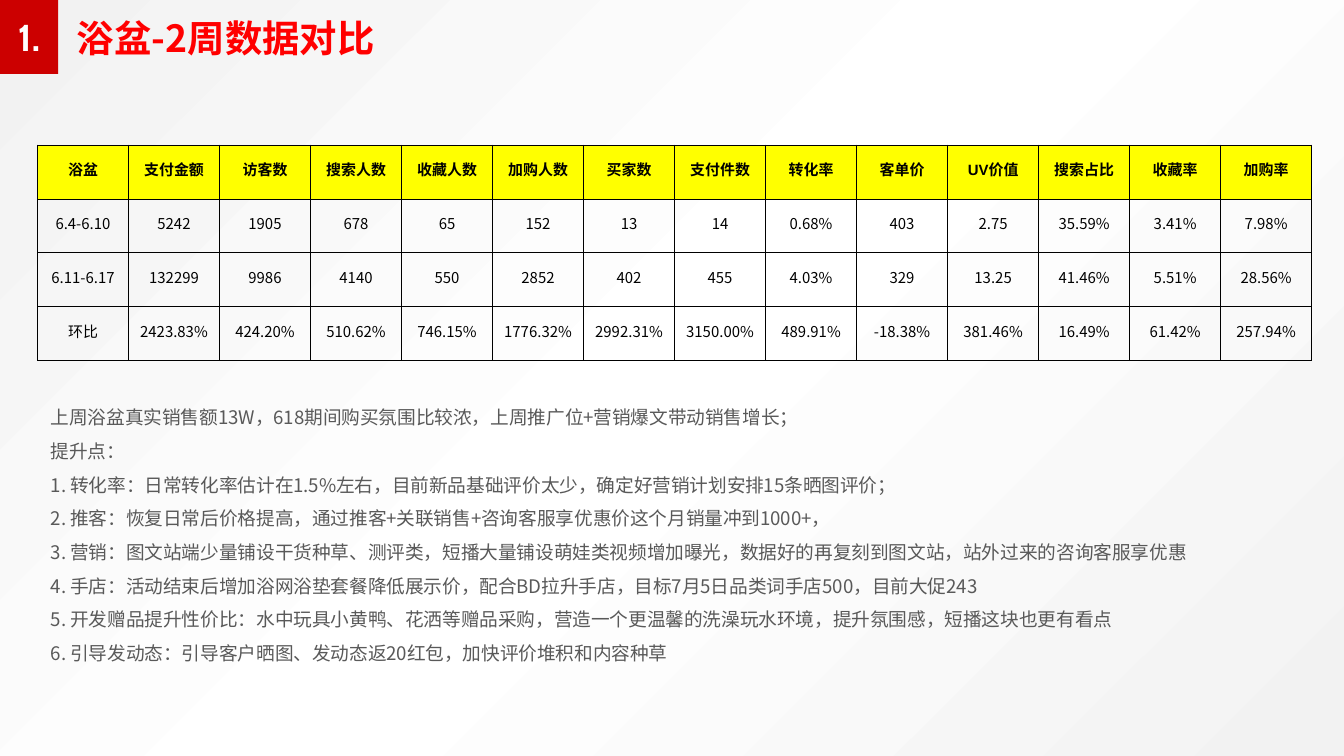
from lxml import etree
from pptx import Presentation
from pptx.dml.color import RGBColor
from pptx.enum.shapes import MSO_SHAPE
from pptx.enum.text import MSO_ANCHOR, MSO_AUTO_SIZE, PP_ALIGN
from pptx.oxml import parse_xml
from pptx.oxml.ns import nsdecls, qn
from pptx.util import Cm, Pt

RECTANGLE = MSO_SHAPE.RECTANGLE
TOP, MIDDLE = MSO_ANCHOR.TOP, MSO_ANCHOR.MIDDLE
LEFT, CENTER = PP_ALIGN.LEFT, PP_ALIGN.CENTER
GROW = MSO_AUTO_SIZE.SHAPE_TO_FIT_TEXT

COLORS = {
    "badge": "CC0000",
    "title": "FF0000",
    "header": "FFFF00",
    "notes": "595959",
    "black": "000000",
    "white": "FFFFFF",
    "edge": "F2F2F2",
}
CJK = "Noto Sans CJK SC"


def add_run(paragraph, text, size, color, font=CJK, bold=False):
    run = paragraph.add_run()
    run.text = text
    run.font.size = Pt(size)
    run.font.bold = bold
    run.font.color.rgb = RGBColor.from_string(COLORS[color])
    run.font.name = font
    east_asian = etree.SubElement(run.font._element, qn("a:ea"))
    east_asian.set("typeface", CJK)


def add_borders(cell):
    properties = cell._tc.get_or_add_tcPr()
    for position, side in enumerate(("lnL", "lnR", "lnT", "lnB")):
        properties.insert(position, parse_xml(
            f'<a:{side} {nsdecls("a")} w="6350"><a:solidFill>'
            f'<a:srgbClr val="{COLORS["black"]}"/></a:solidFill></a:{side}>'))


prs = Presentation()
prs.slide_width, prs.slide_height = Cm(25.4), Cm(14.29)
slide = prs.slides.add_slide(prs.slide_layouts[5])

# Background: soft grey corners around white
backdrop = slide.background.fill
backdrop.gradient()
gradient = slide.background._cSld.find(".//" + qn("a:gradFill"))
for part in list(gradient):
    gradient.remove(part)
stops = etree.SubElement(gradient, qn("a:gsLst"))
for percent, color in ((0, "edge"), (50, "white"), (100, "edge")):
    stop = etree.SubElement(stops, qn("a:gs"), pos=str(percent * 1000))
    etree.SubElement(stop, qn("a:srgbClr"), val=COLORS[color])
circle = etree.SubElement(gradient, qn("a:path"), path="circle")
etree.SubElement(circle, qn("a:fillToRect"), l="100000", t="100000")

# Section number
badge = slide.shapes.add_shape(RECTANGLE, Cm(0), Cm(0), Cm(1.1), Cm(1.4))
badge.shadow.inherit = False
badge.fill.solid()
badge.fill.fore_color.rgb = RGBColor.from_string(COLORS["badge"])
badge.line.fill.background()
badge.text_frame.vertical_anchor = MIDDLE
badge.text_frame.paragraphs[0].alignment = CENTER
add_run(badge.text_frame.paragraphs[0], "1.", 20, "white", "Cabin", True)

# Title
title = slide.shapes.title
title.left, title.top, title.width, title.height = Cm(1.2), Cm(0.15), Cm(6.2), Cm(1.12)
title.text_frame.word_wrap = True
title.text_frame.auto_size = GROW
title.text_frame.vertical_anchor = TOP
title.text_frame.paragraphs[0].alignment = LEFT
add_run(title.text_frame.paragraphs[0], "浴盆-2周数据对比", 20, "title", bold=True)

# Two-week comparison table
weeks = [
    ["浴盆", "支付金额", "访客数", "搜索人数", "收藏人数", "加购人数", "买家数",
     "支付件数", "转化率", "客单价", "UV价值", "搜索占比", "收藏率", "加购率"],
    ["6.4-6.10", "5242", "1905", "678", "65", "152", "13",
     "14", "0.68%", "403", "2.75", "35.59%", "3.41%", "7.98%"],
    ["6.11-6.17", "132299", "9986", "4140", "550", "2852", "402",
     "455", "4.03%", "329", "13.25", "41.46%", "5.51%", "28.56%"],
    ["环比", "2423.83%", "424.20%", "510.62%", "746.15%", "1776.32%", "2992.31%",
     "3150.00%", "489.91%", "-18.38%", "381.46%", "16.49%", "61.42%", "257.94%"],
]
comparison = slide.shapes.add_table(
    len(weeks), len(weeks[0]), Cm(0.71), Cm(2.74), Cm(24.08), Cm(4.08)).table
comparison.first_row = comparison.horz_banding = False
for column in comparison.columns:
    column.width = Cm(1.72)
for row_index, week in enumerate(weeks):
    comparison.rows[row_index].height = Cm(1.02)
    is_header = row_index == 0
    for column_index, value in enumerate(week):
        cell = comparison.cell(row_index, column_index)
        cell.margin_left = cell.margin_right = cell.margin_top = Cm(0.02)
        cell.margin_bottom = Cm(0.13)
        cell.vertical_anchor = MIDDLE
        if is_header:
            cell.fill.solid()
            cell.fill.fore_color.rgb = RGBColor.from_string(COLORS["header"])
        else:
            cell.fill.background()
        add_borders(cell)
        paragraph = cell.text_frame.paragraphs[0]
        paragraph.alignment = CENTER
        font = "Arial" if is_header or value == "环比" else CJK
        add_run(paragraph, value, 8, "black", font, is_header)

# Review and improvement points
points = [
    "上周浴盆真实销售额13W，618期间购买氛围比较浓，上周推广位+营销爆文带动销售增长；",
    "提升点：",
    "1. 转化率：日常转化率估计在1.5%左右，目前新品基础评价太少，确定好营销计划安排15条晒图评价；",
    "2. 推客：恢复日常后价格提高，通过推客+关联销售+咨询客服享优惠价这个月销量冲到1000+，",
    "3. 营销：图文站端少量铺设干货种草、测评类，短播大量铺设萌娃类视频增加曝光，"
    "数据好的再复刻到图文站，站外过来的咨询客服享优惠",
    "4. 手店：活动结束后增加浴网浴垫套餐降低展示价，配合BD拉升手店，目标7月5日品类词手店500，目前大促243",
    "5. 开发赠品提升性价比：水中玩具小黄鸭、花洒等赠品采购，营造一个更温馨的洗澡玩水环境，"
    "提升氛围感，短播这块也更有看点",
    "6. 引导发动态：引导客户晒图、发动态返20红包，加快评价堆积和内容种草",
]
review = slide.shapes.add_textbox(Cm(0.71), Cm(7.34), Cm(22.83), Cm(6.02)).text_frame
review.word_wrap = True
for index, point in enumerate(points):
    paragraph = review.add_paragraph() if index else review.paragraphs[0]
    paragraph.line_spacing = 1.5
    add_run(paragraph, point, 10, "notes")

prs.save("out.pptx")
